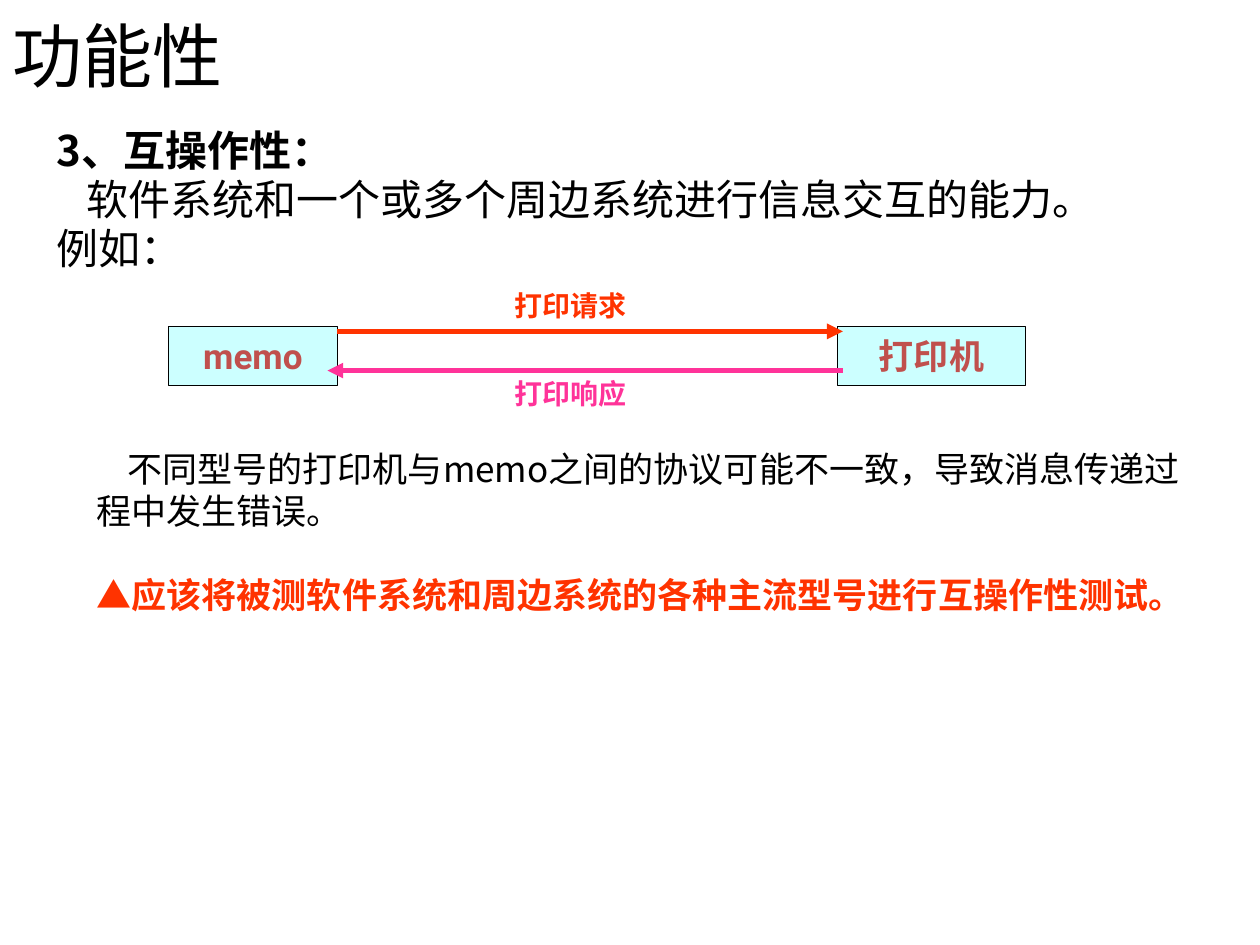
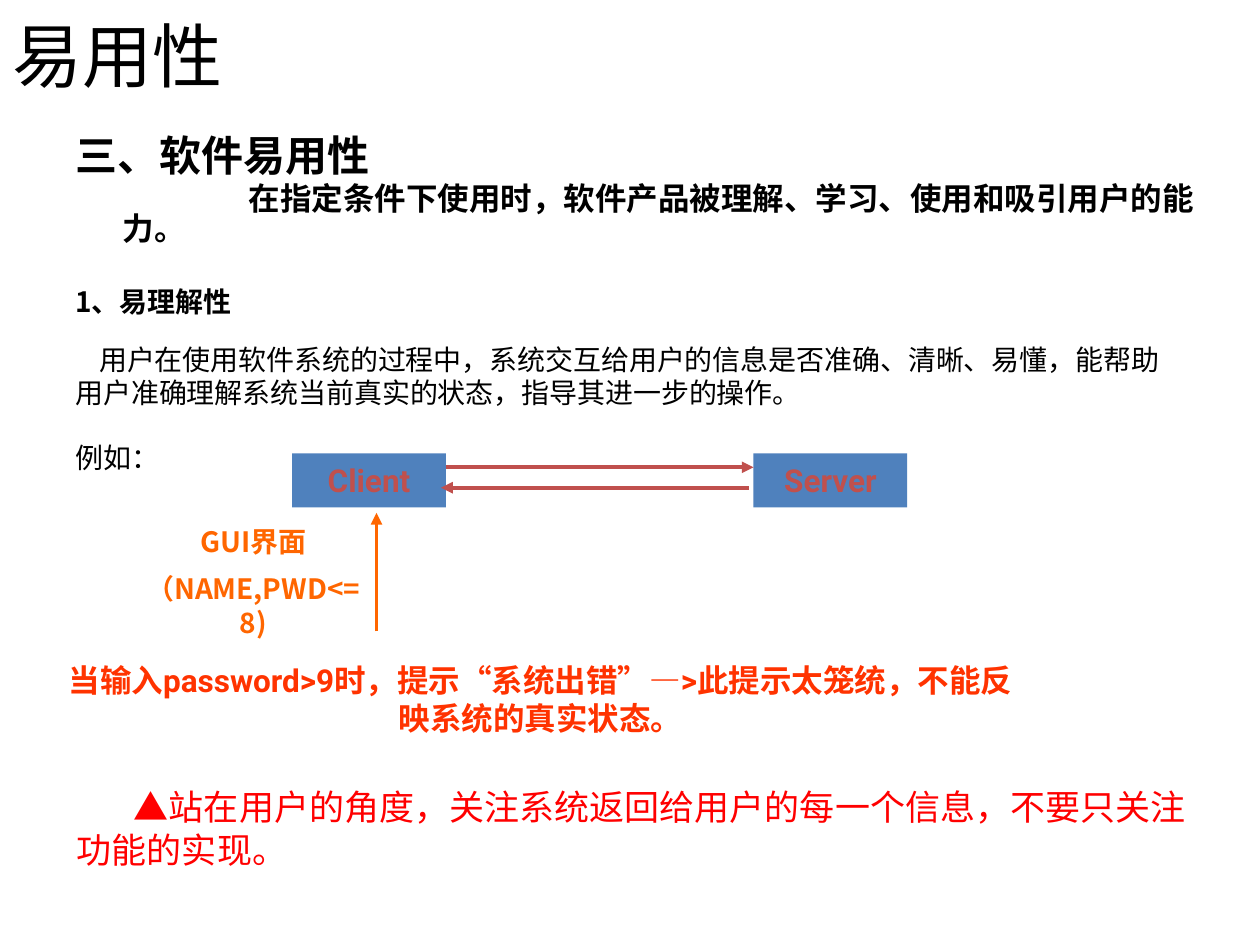
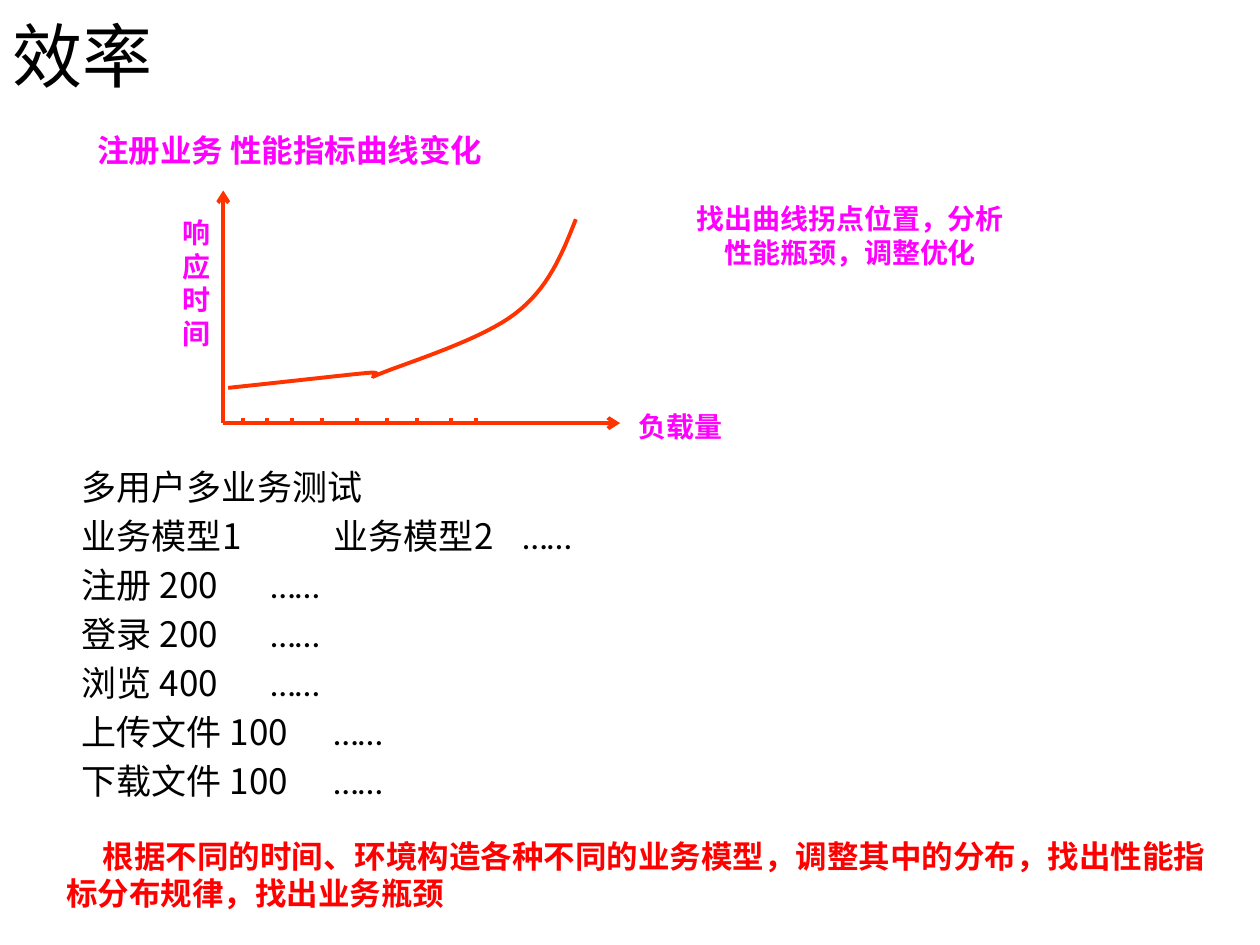
import pptx
import pptx.dml.color
import pptx.enum.shapes
import pptx.enum.text
import pptx.oxml.ns
import pptx.util
from lxml import etree
from pptx.dml.color import RGBColor
from pptx.enum.text import PP_ALIGN
from pptx.util import Cm, Pt

BLACK = RGBColor(0x00, 0x00, 0x00)
RED = RGBColor(0xFF, 0x00, 0x00)
ORANGE_RED = RGBColor(0xFF, 0x33, 0x00)
ORANGE = RGBColor(0xFF, 0x66, 0x00)
PINK = RGBColor(0xFF, 0x33, 0x99)
MAGENTA = RGBColor(0xFF, 0x00, 0xFF)
BRICK = RGBColor(0xC0, 0x50, 0x4D)
BLUE = RGBColor(0x4F, 0x81, 0xBD)
PALE_CYAN = RGBColor(0xCC, 0xFF, 0xFF)

SANS = "Noto Sans CJK SC"
ROBOTO = "Roboto"
ARIAL = "Arial"
CALIBRI = "Calibri"
CENTER = PP_ALIGN.CENTER
qn = pptx.oxml.ns.qn


def add_text(shape, runs, size, color=BLACK, font=SANS, bold=False, alignment=PP_ALIGN.LEFT,
             line=1.2, before=0, left=0, first=0):
    """Add a paragraph; runs is a string or (text, font) pairs, left and first are indents in cm."""
    frame = shape.text_frame
    frame.word_wrap = True
    paragraph = frame.add_paragraph() if frame.text else frame.paragraphs[0]
    paragraph.alignment = alignment
    paragraph.space_before = Pt(before)
    if line:
        paragraph.line_spacing = Pt(round(size * line, 1))
    properties = paragraph._p.get_or_add_pPr()
    properties.set("marL", str(Cm(left)))
    properties.set("indent", str(Cm(first)))
    for text, name in [(runs, font)] if isinstance(runs, str) else runs:
        run = paragraph.add_run()
        run.text = text
        run.font.size = Pt(size)
        run.font.bold = bold
        run.font.color.rgb = color
        run.font.name = name
        etree.SubElement(run._r.get_or_add_rPr(), qn("a:ea"), typeface=SANS)
    return paragraph


def add_line(slide, x1, y1, x2, y2, color, width=2.25, arrow=None):
    connector = slide.shapes.add_connector(
        pptx.enum.shapes.MSO_CONNECTOR.STRAIGHT, Cm(x1), Cm(y1), Cm(x2), Cm(y2))
    connector.line.color.rgb = color
    connector.line.width = Pt(width)
    if arrow:
        etree.SubElement(connector.line._get_or_add_ln(), qn("a:tailEnd"), type=arrow)
    etree.SubElement(connector._element.spPr, qn("a:effectLst"))


presentation = pptx.Presentation()
presentation.slide_width = Cm(25.4)
presentation.slide_height = Cm(19.05)

# Slides and titles
slides = []
for heading in ("功能性", "易用性", "效率"):
    slide = presentation.slides.add_slide(presentation.slide_layouts[5])
    title = slide.shapes.title
    title.left, title.top, title.width, title.height = Cm(0), Cm(0.18), Cm(22.86), Cm(1.83)
    title.text_frame.auto_size = pptx.enum.text.MSO_AUTO_SIZE.NONE
    title.text_frame.vertical_anchor = pptx.enum.text.MSO_ANCHOR.MIDDLE
    add_text(title, heading, 40, font=CALIBRI, line=None)
    slides.append(slide)
functionality, usability, efficiency = slides

# Communicating systems
for slide, label, left, top, width, height, size, fill, outline in (
    (functionality, "memo", 3.4, 6.58, 3.4, 1.19, 20, PALE_CYAN, BLACK),
    (functionality, "打印机", 16.89, 6.58, 3.78, 1.19, 20, PALE_CYAN, BLACK),
    (usability, "Client", 5.89, 9.14, 3.1, 1.09, 18, BLUE, None),
    (usability, "Server", 15.19, 9.14, 3.1, 1.09, 18, BLUE, None),
):
    system = slide.shapes.add_shape(pptx.enum.shapes.MSO_SHAPE.RECTANGLE,
                                    Cm(left), Cm(top), Cm(width), Cm(height))
    system.shadow.inherit = False
    system.fill.solid()
    system.fill.fore_color.rgb = fill
    if outline is None:
        system.line.fill.background()
    else:
        system.line.color.rgb = outline
        system.line.width = Pt(0.75)
    system.text_frame.vertical_anchor = pptx.enum.text.MSO_ANCHOR.MIDDLE
    add_text(system, label, size, BRICK, ROBOTO, True, CENTER)

# Slide 1: interoperability
body = functionality.shapes.add_textbox(Cm(0.89), Cm(2.6), Cm(22.86), Cm(5))
add_text(body, "3、互操作性：", 24, bold=True, line=0.96)
add_text(body, "软件系统和一个或多个周边系统进行信息交互的能力。", 24, line=0.96, before=4.8, left=0.6)
add_text(body, "例如：", 24, line=0.96, before=4.8)

add_line(functionality, 6.8, 6.68, 16.99, 6.68, ORANGE_RED, 3, "triangle")
add_line(functionality, 16.99, 7.47, 6.6, 7.47, PINK, 3, "triangle")
for label, top, color in (("打印请求", 5.69, ORANGE_RED), ("打印响应", 7.47, PINK)):
    message = functionality.shapes.add_textbox(Cm(10.12), Cm(top), Cm(3.15), Cm(0.94))
    add_text(message, label, 16, color, ROBOTO, True)

explanation = functionality.shapes.add_textbox(Cm(1.7), Cm(8.89), Cm(23.01), Cm(3.63))
add_text(explanation, "不同型号的打印机与memo之间的协议可能不一致，导致消息传递过程中发生错误。", 20, first=0.62)
add_text(explanation, "▲应该将被测软件系统和周边系统的各种主流型号进行互操作性测试。",
         20, ORANGE_RED, bold=True, before=24)

# Slide 2: understandability
body = usability.shapes.add_textbox(Cm(1.27), Cm(2.7), Cm(23.62), Cm(6.71))
add_text(body, "三、软件易用性", 24, bold=True, line=0.96)
add_text(body, "在指定条件下使用时，软件产品被理解、学习、使用和吸引用户的能力。",
         18, bold=True, line=0.96, before=3.6, left=0.96, first=2.54)
for text, bold, before, left in (
    ("1、易理解性", True, 25, 0),
    ("用户在使用软件系统的过程中，系统交互给用户的信息是否准确、清晰、易懂，能帮助", False, 18, 0.48),
    ("用户准确理解系统当前真实的状态，指导其进一步的操作。", False, 3.2, 0),
    ("例如：", False, 21.8, 0),
):
    add_text(body, text, 16, bold=bold, line=0.96, before=before, left=left)

add_line(usability, 7.59, 12.73, 7.59, 10.34, ORANGE, arrow="triangle")
add_line(usability, 8.99, 9.42, 15.19, 9.42, BRICK, arrow="triangle")
add_line(usability, 15.09, 9.83, 8.89, 9.83, BRICK, arrow="triangle")

interface = usability.shapes.add_textbox(Cm(2.59), Cm(10.44), Cm(5.03), Cm(2.64))
add_text(interface, "GUI界面", 16, ORANGE, bold=True, alignment=CENTER)
add_text(interface, "（NAME,PWD<=8)", 16, ORANGE, bold=True, alignment=CENTER, before=8)

problem = usability.shapes.add_textbox(Cm(1.09), Cm(13.21), Cm(19.61), Cm(1.78))
add_text(problem, [("当输入password>9时，提示", ROBOTO), ("“", ARIAL), ("系统出错", ROBOTO),
                   ("”—", ARIAL), (">此提示太笼统，不能反映系统的真实状态。", ROBOTO)],
         18, ORANGE_RED, bold=True, alignment=CENTER)

advice = usability.shapes.add_textbox(Cm(1.3), Cm(15.72), Cm(23.11), Cm(2.79))
add_text(advice, "▲站在用户的角度，关注系统返回给用户的每一个信息，不要只关注功能的实现。",
         20, RED, ROBOTO, first=1.15)

# Slide 3: business models, one row a paragraph
models = efficiency.shapes.add_textbox(Cm(1.4), Cm(9.25), Cm(22.86), Cm(7.49))
rows = [[("多用户多业务测试", SANS)],
        [("业务模型1\t\t业务模型2\t", SANS), ("……", CALIBRI)]]
for operation in ("注册 200", "登录 200", "浏览 400", "上传文件 100", "下载文件 100"):
    rows.append([(operation + "\t", SANS), ("……", CALIBRI)])
for index, row in enumerate(rows):
    paragraph = add_text(models, row, 20, before=4 if index else 0)
    tabs = etree.SubElement(paragraph._p.get_or_add_pPr(), qn("a:tabLst"))
    for position in (8.55, 11.1, 15.12):
        etree.SubElement(tabs, qn("a:tab"), pos=str(Cm(position)), algn="l")

# Slide 3: response time against load
ORIGIN_X, ORIGIN_Y = 4.5, 8.53
add_line(efficiency, ORIGIN_X, ORIGIN_Y, ORIGIN_X, 3.84, ORANGE_RED, arrow="arrow")
add_line(efficiency, ORIGIN_X, ORIGIN_Y, 12.5, ORIGIN_Y, ORANGE_RED, arrow="arrow")
for x in (4.9, 5.38, 5.89, 6.5, 7.19, 7.8, 8.41, 9.09, 9.6):
    add_line(efficiency, x, ORIGIN_Y - 0.1, x, ORIGIN_Y, ORANGE_RED)

STEPS = 16
start = (4.6, 7.82)
builder = efficiency.shapes.build_freeform(Cm(start[0]), Cm(start[1]))
for control_1, control_2, end in (
    ((5.74, 7.7), (6.88, 7.57), (7.39, 7.52)),
    ((7.92, 7.47), (7.21, 7.72), (7.7, 7.52)),
    ((8.2, 7.32), (9.75, 6.83), (10.39, 6.32)),
    ((11.05, 5.82), (11.33, 5.13), (11.61, 4.42)),
):
    points = []
    for step in range(1, STEPS + 1):
        t = step / STEPS
        weights = ((1 - t) ** 3, 3 * t * (1 - t) ** 2, 3 * t ** 2 * (1 - t), t ** 3)
        corners = (start, control_1, control_2, end)
        points.append([Cm(sum(w * corner[axis] for w, corner in zip(weights, corners)))
                       for axis in (0, 1)])
    builder.add_line_segments(points, close=False)
    start = end
curve = builder.convert_to_shape()
curve.shadow.inherit = False
curve.fill.background()
curve.line.color.rgb = ORANGE_RED
curve.line.width = Pt(2.25)

for text, left, top, width, height, size, font in (
    ("响应时间", 3.4, 4.22, 1.12, 2.97, 16, ARIAL),
    ("负载量", 12.5, 8.13, 2.44, 0.94, 16, ROBOTO),
    ("找出曲线拐点位置，分析性能瓶颈，调整优化", 13.59, 3.94, 7.11, 1.63, 16, ROBOTO),
    ("注册业务 性能指标曲线变化", 1.19, 2.51, 9.3, 1.02, 18, ROBOTO),
):
    caption = efficiency.shapes.add_textbox(Cm(left), Cm(top), Cm(width), Cm(height))
    add_text(caption, text, size, MAGENTA, font, True, CENTER)

conclusion = efficiency.shapes.add_textbox(Cm(1.09), Cm(16.74), Cm(23.8), Cm(1.78))
add_text(conclusion, "根据不同的时间、环境构造各种不同的业务模型，调整其中的分布，找出性能指标分布规律，找出业务瓶颈",
         18, RED, bold=True, first=0.73)

presentation.save("out.pptx")
